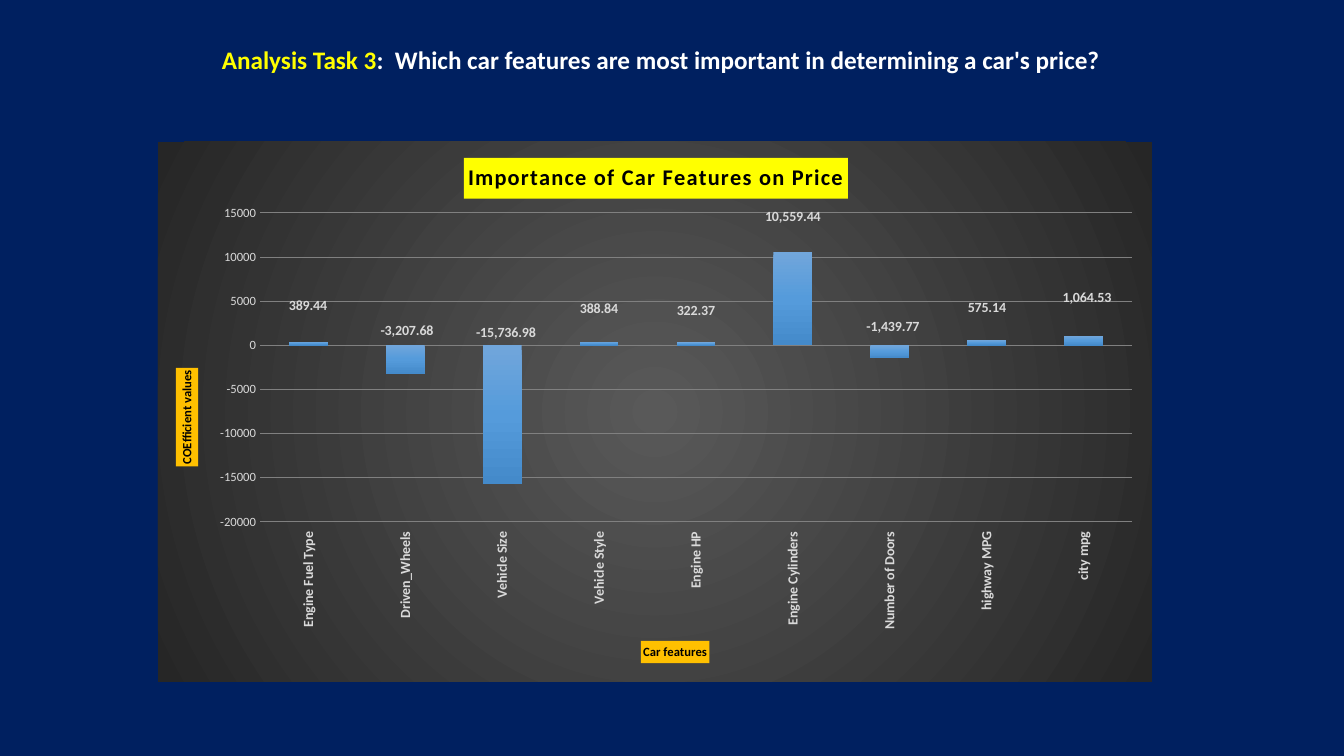
import pptx
import pptx.chart.data
import pptx.dml.color
import pptx.enum.chart
import pptx.enum.text
import pptx.oxml
import pptx.oxml.ns
import pptx.util

RGB = pptx.dml.color.RGBColor
Pt = pptx.util.Pt
qn = pptx.oxml.ns.qn
NAVY = RGB(0x00, 0x20, 0x60)
YELLOW = RGB(0xFF, 0xFF, 0x00)
AMBER = RGB(0xFF, 0xC0, 0x00)
WHITE = RGB(0xFF, 0xFF, 0xFF)
BLACK = RGB(0x00, 0x00, 0x00)
LIGHT = RGB(0xD9, 0xD9, 0xD9)
GRID = RGB(0x80, 0x80, 0x80)
BAR_STOPS = [(0, RGB(0x71, 0xA6, 0xDB)), (50, RGB(0x55, 0x9B, 0xDB)), (100, RGB(0x44, 0x8A, 0xCA))]
BACK_STOPS = [(0, RGB(0x59, 0x59, 0x59)), (100, RGB(0x26, 0x26, 0x26))]
FONT = "Calibri"

# Content
HEADING = [("Analysis Task 3", YELLOW),
           (":  Which car features are most important in determining a car's price?", WHITE)]
CHART_TITLE = "Importance of Car Features on Price"
CAT_TITLE = "Car features"
VALUE_TITLE = "COEfficient values"
NUMBER_FORMAT = "#,##0.00"
# feature, coefficient, label centre x and y in px
FEATURES = [
    ("Engine Fuel Type", 389.44, 308, 306),
    ("Driven_Wheels", -3207.68, 407, 331),
    ("Vehicle Size", -15736.98, 506, 333),
    ("Vehicle Style", 388.84, 599, 309),
    ("Engine HP", 322.37, 696, 311),
    ("Engine Cylinders", 10559.44, 793, 217),
    ("Number of Doors", -1439.77, 893, 327),
    ("highway MPG", 575.14, 987, 308),
    ("city mpg", 1064.53, 1087, 298),
]
AXIS_MIN, AXIS_MAX, AXIS_STEP = -20000, 15000, 5000

# Geometry in px: left, top, width, height
SLIDE_W, SLIDE_H = 1344, 756
HEADING_BOX = (212, 39, 921, 40)
CHART_BOX = (158, 142, 994, 540)
PLOT_BOX = (260, 213, 872, 309)
TITLE_AT, CAT_TITLE_AT, VALUE_TITLE_AT = (464, 158), (641, 641), (176, 368)
PX = 914400 / 100.8


def emu(*lengths):
    return [round(n * PX) for n in lengths]


def xml(tag, body="", attrs=""):
    ns = pptx.oxml.ns.nsdecls("a", "c")
    return pptx.oxml.parse_xml(f"<{tag} {ns} {attrs}>{body}</{tag}>")


def layout(x, y, w=None, h=None, edge=True):
    """Manual layout, lengths in px as shares of the chart."""
    body = ""
    if w:
        body += '<c:layoutTarget val="inner"/>'
    if edge:
        body += '<c:xMode val="edge"/><c:yMode val="edge"/>'
        x, y = x - CHART_BOX[0], y - CHART_BOX[1]
    for name, value, whole in (("x", x, 2), ("y", y, 3), ("w", w, 2), ("h", h, 3)):
        if value is not None:
            body += f'<c:{name} val="{value / CHART_BOX[whole]:.4f}"/>'
    return xml("c:layout", f"<c:manualLayout>{body}</c:manualLayout>")


def gradient(stops, direction):
    body = "".join(f'<a:gs pos="{pos * 1000}"><a:srgbClr val="{color}"/></a:gs>'
                   for pos, color in stops)
    return xml("a:gradFill", f"<a:gsLst>{body}</a:gsLst>{direction}")


def style(font, size, color, bold=False):
    font.name, font.size, font.bold = FONT, Pt(size), bold
    font.color.rgb = color


def add_title(title, text, size, fill, at):
    p = title.text_frame.paragraphs[0]
    r = p.add_run()
    r.text = text
    style(r.font, size, BLACK, True)
    title.format.fill.solid()
    title.format.fill.fore_color.rgb = fill
    el = title._element
    for old in el.findall(qn("c:layout")):
        el.remove(old)
    el.find(qn("c:tx")).addnext(layout(*at))
    return r


def turn(parent):
    body = next(parent.iter(qn("a:bodyPr")))
    body.set("rot", "-5400000")
    body.set("vert", "horz")


def hide_leader_lines(labels_el):
    for old in labels_el.findall(qn("c:showLeaderLines")):
        labels_el.remove(old)
    labels_el.append(xml("c:showLeaderLines", attrs='val="0"'))
    labels_el.append(xml(
        "c:extLst",
        '<c:ext uri="{CE6537A1-D6FC-4f65-9D91-7224C49458BB}" '
        'xmlns:c15="http://schemas.microsoft.com/office/drawing/2012/chart">'
        '<c15:showLeaderLines val="0"/></c:ext>'))


# Slide
prs = pptx.Presentation()
prs.slide_width, prs.slide_height = emu(SLIDE_W, SLIDE_H)
s = prs.slides.add_slide(prs.slide_layouts[6])
s.background.fill.solid()
s.background.fill.fore_color.rgb = NAVY

# Heading
tf = s.shapes.add_textbox(*emu(*HEADING_BOX)).text_frame
tf.word_wrap = True
tf.auto_size = pptx.enum.text.MSO_AUTO_SIZE.SHAPE_TO_FIT_TEXT
for text, color in HEADING:
    r = tf.paragraphs[0].add_run()
    r.text = text
    style(r.font, 18, color, True)

# Chart
data = pptx.chart.data.CategoryChartData(number_format=NUMBER_FORMAT)
data.categories = [f[0] for f in FEATURES]
data.add_series("Series 1", [f[1] for f in FEATURES])
chart = s.shapes.add_chart(pptx.enum.chart.XL_CHART_TYPE.COLUMN_STACKED,
                           *emu(*CHART_BOX), data).chart
style(chart.font, 10, BLACK)
chart.has_legend = False
plot = chart.plots[0]
plot.gap_width, plot.overlap, plot.vary_by_categories = 150, 100, False

# Chart background and plot position
back = xml("c:spPr")
back.append(gradient(BACK_STOPS, '<a:path path="circle"><a:fillToRect l="50000" t="50000" '
                                 'r="50000" b="50000"/></a:path>'))
back.append(xml("a:ln", "<a:noFill/>"))
chart._chartSpace.find(qn("c:chart")).addnext(back)
plot_area = chart._chartSpace.find(qn("c:chart")).find(qn("c:plotArea"))
for old in plot_area.findall(qn("c:layout")):
    plot_area.remove(old)
plot_area.insert(0, layout(*PLOT_BOX))

# Axes
cat, val = chart.category_axis, chart.value_axis
for axis, size, bold in ((cat, 10, True), (val, 9, False)):
    axis.major_tick_mark = axis.minor_tick_mark = pptx.enum.chart.XL_TICK_MARK.NONE
    axis.format.line.fill.background()
    style(axis.tick_labels.font, size, LIGHT, bold)
cat.tick_label_position = pptx.enum.chart.XL_TICK_LABEL_POSITION.LOW
turn(cat._element.find(qn("c:txPr")))
val.minimum_scale, val.maximum_scale, val.major_unit = AXIS_MIN, AXIS_MAX, AXIS_STEP
val.tick_labels.number_format = "General"
val.tick_labels.number_format_is_linked = False
val.major_gridlines.format.line.color.rgb = GRID
val.major_gridlines.format.line.width = Pt(0.75)

# Titles
r = add_title(chart.chart_title, CHART_TITLE, 16, YELLOW, TITLE_AT)
r.font._element.set("spc", "100")
add_title(cat.axis_title, CAT_TITLE, 9, AMBER, CAT_TITLE_AT)
add_title(val.axis_title, VALUE_TITLE, 9, AMBER, VALUE_TITLE_AT)
turn(val.axis_title._element)

# Bars
series = plot.series[0]
series.invert_if_negative = False
series.format.fill.solid()
solid = series._element.find(qn("c:spPr")).find(qn("a:solidFill"))
solid.getparent().replace(solid, gradient(BAR_STOPS, '<a:lin ang="5400000" scaled="0"/>'))

# Value labels, each moved from the middle of its bar
labels = series.data_labels
labels.show_value = True
labels.number_format, labels.number_format_is_linked = NUMBER_FORMAT, False
style(labels.font, 10, LIGHT, True)
left, top, width, height = PLOT_BOX
for i, (feature, value, x, y) in enumerate(FEATURES):
    bar_x = left + (i + 0.5) * width / len(FEATURES)
    bar_y = top + (AXIS_MAX - value / 2) * height / (AXIS_MAX - AXIS_MIN)
    style(series.points[i].data_label.font, 10, LIGHT, True)
    label = labels._element.findall(qn("c:dLbl"))[i]
    offset = layout(x - bar_x, y - bar_y, edge=False)
    label.find(qn("c:idx")).addnext(offset)
    offset.addnext(xml("c:numFmt", attrs=f'formatCode="{NUMBER_FORMAT}" sourceLinked="0"'))
hide_leader_lines(labels._element)

prs.save("out.pptx")
